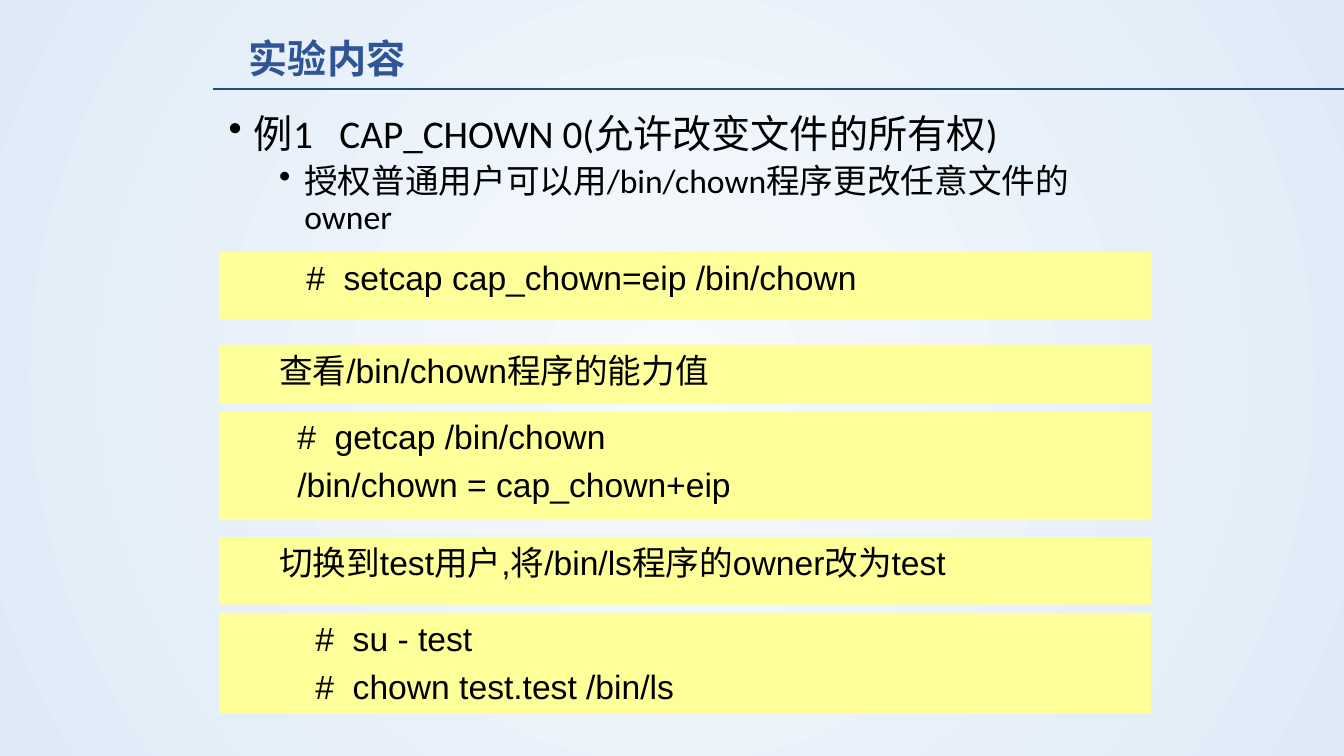
from lxml import etree
from pptx import Presentation
from pptx.dml.color import RGBColor
from pptx.enum.shapes import MSO_CONNECTOR, MSO_SHAPE
from pptx.enum.text import MSO_ANCHOR, PP_ALIGN
from pptx.oxml.ns import qn
from pptx.util import Inches, Pt

COLORS = {"center": "F7FAFD", "edge": "DEEBF7", "rule": "1F4E79",
          "title": "2F5597", "text": "000000", "band": "FFFF99"}
CJK = "Noto Sans CJK SC"
LEFT, WIDTH = 2.17, 9.25
SPACE = 0.09  # step of one character space in the code bands


def rgb(name):
    return RGBColor.from_string(COLORS[name])


def write(p, text, size, font, color="text", bold=False):
    r = p.add_run()
    r.text = text
    p.alignment = PP_ALIGN.LEFT
    p.font.size, p.font.name, p.font.bold = Pt(size), font, bold
    p.font.color.rgb = rgb(color)
    # East Asian typeface and run properties follow the paragraph font
    rPr = r._r.get_or_add_rPr()
    for child in p._p.pPr.find(qn("a:defRPr")):
        rPr.append(etree.fromstring(etree.tostring(child)))
    rPr.set("sz", str(size * 100))
    rPr.set("b", str(int(bold)))
    etree.SubElement(rPr, qn("a:ea")).set("typeface", CJK)


def indent(p, left, first=0, bullet=None):
    pPr = p._p.get_or_add_pPr()
    pPr.set("marL", str(Inches(left)))
    pPr.set("indent", str(Inches(first)))
    if bullet:
        bu = etree.Element(qn("a:buChar"))
        bu.set("char", bullet)
        pPr.find(qn("a:defRPr")).addprevious(bu)


def paragraphs(tf, count):
    return [tf.paragraphs[0]] + [tf.add_paragraph() for _ in range(count - 1)]


def background(s):
    fill = s.background.fill
    fill.gradient()
    for stop, name in zip(fill.gradient_stops, ("center", "edge")):
        stop.color.rgb = rgb(name)
    lin = s._element.find(".//" + qn("a:lin"))
    circle = etree.Element(qn("a:path"))
    circle.set("path", "circle")
    to = etree.SubElement(circle, qn("a:fillToRect"))
    for side in "ltrb":
        to.set(side, "50000")
    lin.getparent().replace(lin, circle)


def header(s, x, y, w, h):
    # Rule running to the right edge
    line = s.shapes.add_connector(MSO_CONNECTOR.STRAIGHT, Inches(x), Inches(y + h),
                                  Inches(x + w), Inches(y + h))
    line.line.color.rgb = rgb("rule")
    line.line.width = Pt(1.25)
    etree.SubElement(line._element.spPr, qn("a:effectLst"))
    # Title
    tf = s.shapes.add_textbox(Inches(x + 0.26), Inches(y), Inches(3.04), Inches(0.57)).text_frame
    tf.word_wrap = True
    write(tf.paragraphs[0], "实验内容", 28, CJK, "title", True)


def bullets(s, x, y, w, h, items):
    tf = s.shapes.add_textbox(Inches(x), Inches(y), Inches(w), Inches(h)).text_frame
    tf.word_wrap = True
    for level, (p, text) in enumerate(zip(paragraphs(tf, len(items)), items)):
        p.level = level
        p.line_spacing = 0.9
        p.space_before = Pt(10 - 5 * level)
        write(p, text, 28 - 4 * level, "Calibri")
        indent(p, 0.25 + 0.5 * level, -0.25, "•")


def band(s, x, y, w, h, spaces, lines):
    sp = s.shapes.add_shape(MSO_SHAPE.RECTANGLE, Inches(x), Inches(y), Inches(w), Inches(h))
    sp.shadow.inherit = False
    sp.fill.solid()
    sp.fill.fore_color.rgb = rgb("band")
    sp.line.fill.background()
    tf = sp.text_frame
    tf.word_wrap = True
    tf.vertical_anchor = MSO_ANCHOR.TOP
    for p, text in zip(paragraphs(tf, len(lines)), lines):
        p.space_before = Pt(5.5)
        write(p, text, 24, "Arial")
        indent(p, 0.5 + spaces * SPACE)


prs = Presentation()
prs.slide_width, prs.slide_height = Inches(13.33), Inches(7.5)
s = prs.slides.add_slide(prs.slide_layouts[6])
background(s)
header(s, 2.11, 0.29, 11.22, 0.59)
bullets(s, LEFT, 1.09, WIDTH, 1.41, [
    "例1   CAP_CHOWN 0(允许改变文件的所有权)",
    "授权普通用户可以用/bin/chown程序更改任意文件的owner"])

# Command bands: top, height, leading spaces, lines
BANDS = [
    (2.5, 0.67, 3, ["#  setcap cap_chown=eip /bin/chown"]),
    (3.42, 0.58, 0, ["查看/bin/chown程序的能力值"]),
    (4.08, 1.08, 2, ["#  getcap /bin/chown", "/bin/chown = cap_chown+eip"]),
    (5.33, 0.67, 0, ["切换到test用户,将/bin/ls程序的owner改为test"]),
    (6.08, 1, 4, ["#  su - test", "#  chown test.test /bin/ls"]),
]
for top, height, spaces, lines in BANDS:
    band(s, LEFT, top, WIDTH, height, spaces, lines)

prs.save("out.pptx")
